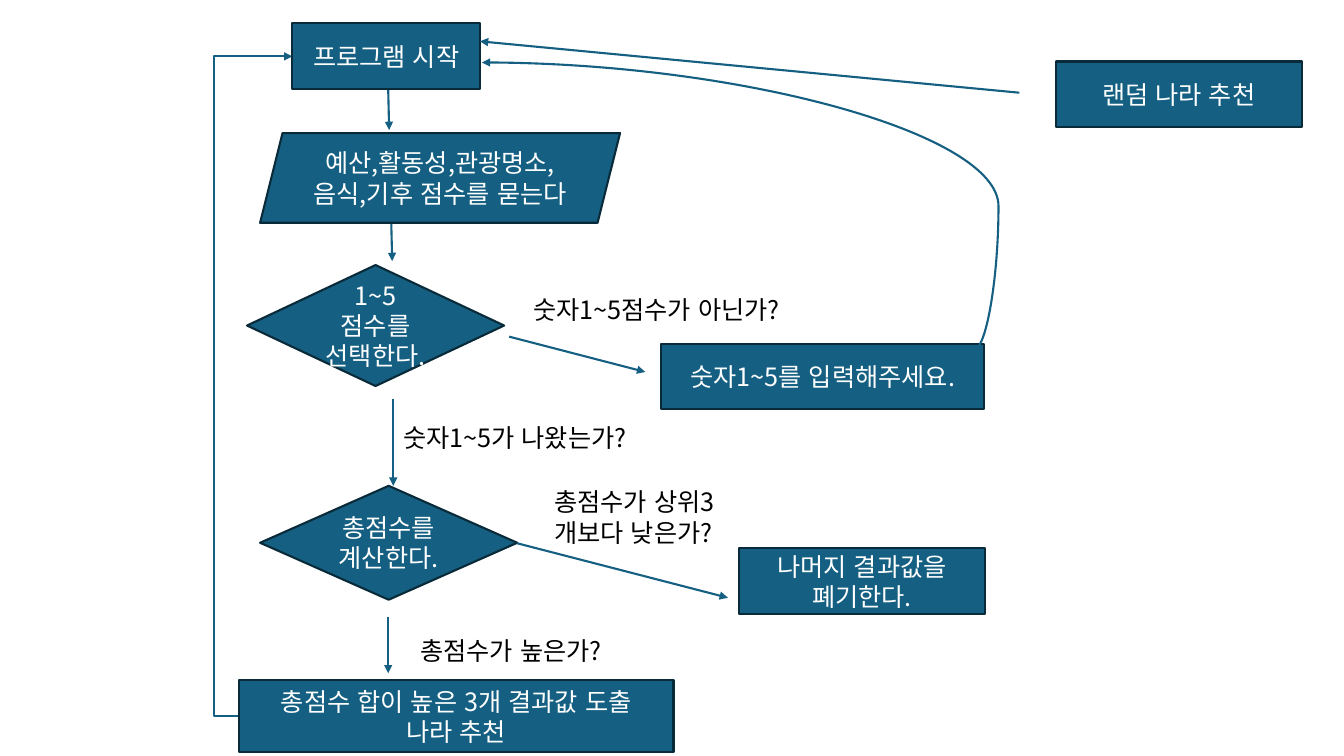
from dataclasses import dataclass

from lxml import etree
from pptx import Presentation
from pptx.dml.color import RGBColor
from pptx.enum import lang, shapes, text
from pptx.oxml import ns
from pptx.util import Inches, Pt

SHAPE = shapes.MSO_SHAPE
LINK = shapes.MSO_CONNECTOR


@dataclass(frozen=True)
class Theme:
    fill: RGBColor = RGBColor(0x15, 0x60, 0x82)
    border: RGBColor = RGBColor(0x09, 0x2A, 0x39)
    light: RGBColor = RGBColor(0xFF, 0xFF, 0xFF)
    dark: RGBColor = RGBColor(0x00, 0x00, 0x00)
    font: str = "Noto Sans CJK KR"
    size: Pt = Pt(18)
    line: Pt = Pt(1.5)


THEME = Theme()


def write(sp, wording, color, align):
    tf = sp.text_frame
    tf.word_wrap = True
    tf.text = wording
    for p in tf.paragraphs:
        p.alignment = align
        for r in p.runs:
            r.font.size = THEME.size
            r.font.name = THEME.font
            r.font.color.rgb = color
            r.font.language_id = lang.MSO_LANGUAGE_ID.KOREAN
            ea = etree.SubElement(r.font._element, ns.qn("a:ea"))
            ea.set("typeface", THEME.font)


def node(s, box, kind, x, y, w, h, wording):
    """Flowchart step at x, y from the corner of its region."""
    sp = s.shapes.add_shape(kind, Inches(box[0] + x), Inches(box[1] + y), Inches(w), Inches(h))
    sp.shadow.inherit = False
    sp.fill.solid()
    sp.fill.fore_color.rgb = THEME.fill
    sp.line.color.rgb = THEME.border
    sp.line.width = THEME.line
    sp.text_frame.vertical_anchor = text.MSO_ANCHOR.MIDDLE
    write(sp, wording, THEME.light, text.PP_ALIGN.CENTER)


def label(s, box, x, y, w, h, wording):
    """Condition written beside an arrow."""
    sp = s.shapes.add_textbox(Inches(box[0] + x), Inches(box[1] + y), Inches(w), Inches(h))
    write(sp, wording, THEME.dark, text.PP_ALIGN.LEFT)


def arrow(s, box, x1, y1, x2, y2, kind=LINK.STRAIGHT, bend=None):
    """Arrow between two points of a region; bend is the elbow's share of the width."""
    left, top = box
    c = s.shapes.add_connector(kind, Inches(left + x1), Inches(top + y1),
                               Inches(left + x2), Inches(top + y2))
    c.line.color.rgb = THEME.fill
    c.line.width = THEME.line
    tail = etree.SubElement(c.line._get_or_add_ln(), ns.qn("a:tailEnd"))
    tail.set("type", "triangle")
    etree.SubElement(c._element.spPr, ns.qn("a:effectLst"))
    if bend is not None:
        guides = c._element.spPr.find(".//" + ns.qn("a:avLst"))
        gd = etree.SubElement(guides, ns.qn("a:gd"))
        gd.set("name", "adj1")
        gd.set("fmla", f"val {round(bend * 100000)}")


def main_flow(s, box):
    # Arrows down the column, then the way back to the start
    for x1, y1, x2, y2 in ((1.48, 0.65, 1.49, 1.06), (1.51, 1.95, 1.52, 2.36),
                           (1.53, 3.73, 1.53, 4.59), (1.48, 5.89, 1.48, 6.45)):
        arrow(s, box, x1, y1, x2, y2)
    arrow(s, box, 0, 6.87, 0.53, 0.33, LINK.ELBOW, -0.47)

    # Steps
    for step in (
        (SHAPE.RECTANGLE, 0.53, 0, 1.86, 0.65, "프로그램 시작"),
        (SHAPE.PARALLELOGRAM, 0.21, 1.09, 3.57, 0.89,
         "예산,활동성,관광명소,음식,기후 점수를 묻는다"),
        (SHAPE.FLOWCHART_DECISION, 0.08, 2.4, 2.55, 1.2, "1~5\n점수를 선택한다."),
        (SHAPE.FLOWCHART_DECISION, 0.21, 4.59, 2.55, 1.13, "총점수를 계산한다."),
        (SHAPE.RECTANGLE, 0, 6.52, 4.31, 0.71,
         "총점수 합이 높은 3개 결과값 도출\n나라 추천"),
    ):
        node(s, box, *step)

    # Conditions for going on
    label(s, box, 1.53, 3.91, 3.09, 0.4, "숫자1~5가 나왔는가?")
    label(s, box, 1.7, 6.02, 2.34, 0.71, "총점수가 높은가?")


def invalid_score(s, box):
    node(s, box, SHAPE.RECTANGLE, 1.51, 0.54, 3.2, 0.65, "숫자1~5를 입력해주세요.")
    label(s, box, 0.14, 0, 3.2, 0.71, "숫자1~5점수가 아닌가?")
    arrow(s, box, 0, 0.47, 1.35, 0.82)
    # Curve back to the start
    arrow(s, box, 4.61, 0.6, -0.27, -2.25, LINK.CURVE, -0.05)


def low_total(s, box):
    arrow(s, box, 0, 0.61, 2.09, 1.15)
    label(s, box, 0.27, 0, 2.34, 1.01, "총점수가 상위3개보다 낮은가?")
    node(s, box, SHAPE.RECTANGLE, 2.2, 0.66, 2.44, 0.65, "나머지 결과값을 폐기한다.")


def random_country(s, box):
    arrow(s, box, 5.35, 0.51, 0, 0)
    node(s, box, SHAPE.RECTANGLE, 5.71, 0.2, 2.44, 0.65, "랜덤 나라 추천")


def main():
    prs = Presentation()
    prs.slide_width, prs.slide_height = Inches(13.33), Inches(7.5)
    s = prs.slides.add_slide(prs.slide_layouts[6])
    main_flow(s, (2.37, 0.23))
    invalid_score(s, (5.05, 2.87))
    low_total(s, (5.13, 4.78))
    random_country(s, (4.76, 0.41))
    prs.save("out.pptx")


if __name__ == "__main__":
    main()
